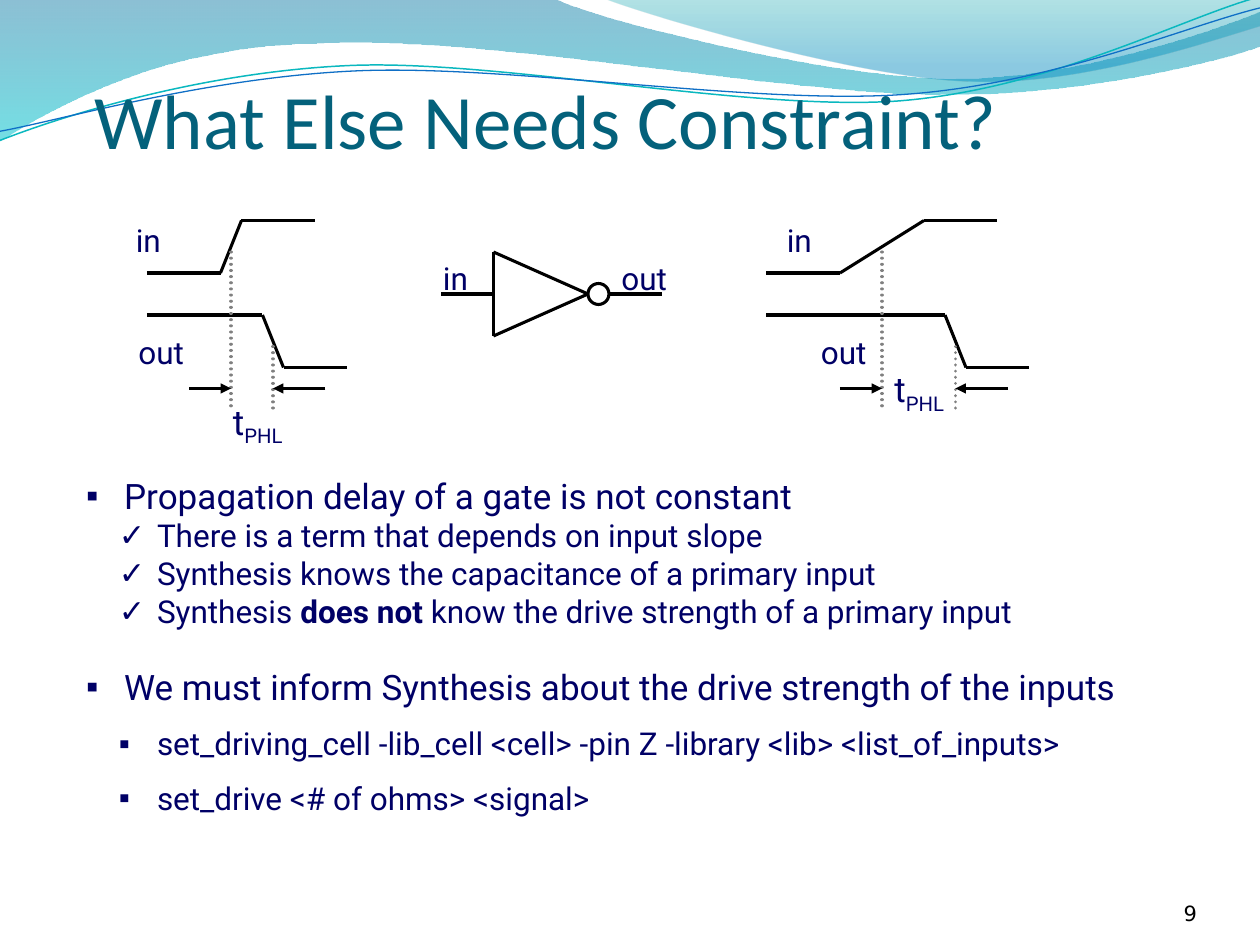
from pptx import Presentation
from pptx.dml.color import RGBColor
from pptx.enum.dml import MSO_LINE
from pptx.enum.shapes import MSO_CONNECTOR, MSO_SHAPE
from pptx.enum.text import MSO_ANCHOR, MSO_AUTO_SIZE, PP_ALIGN
from pptx.oxml.ns import qn
from pptx.util import Pt
from lxml import etree

PX = 9525
STRAIGHT = MSO_CONNECTOR.STRAIGHT
OVAL = MSO_SHAPE.OVAL
DOTTED = MSO_LINE.ROUND_DOT
BOTTOM = MSO_ANCHOR.BOTTOM
NO_FIT = MSO_AUTO_SIZE.NONE
LEFT, RIGHT = PP_ALIGN.LEFT, PP_ALIGN.RIGHT
NAVY, BLACK, GRAY, TEAL = "000066", "000000", "808080", "04617B"


def rgb(value):
    return RGBColor.from_string(value)


def px(*values):
    return [round(v * PX) for v in values]


class Deck:
    font = "Roboto"
    weight = 1.75

    def __init__(self):
        self.prs = Presentation()
        self.prs.slide_width, self.prs.slide_height = px(960, 720)
        self.s = self.prs.slides.add_slide(self.prs.slide_layouts[3])

    def style(self, r, size, color=NAVY, font=None):
        r.font.size = Pt(size)
        r.font.name = font or self.font
        r.font.color.rgb = rgb(color)

    def stroke(self, line, color, weight):
        line.color.rgb = rgb(color)
        line.width = Pt(weight)

    def place(self, sp, box, wrap=True, insets=None):
        sp.left, sp.top, sp.width, sp.height = px(*box)
        tf = sp.text_frame
        tf.auto_size = NO_FIT
        tf.word_wrap = wrap
        tf.vertical_anchor = BOTTOM
        if insets:
            tf.margin_left, tf.margin_top, tf.margin_right, tf.margin_bottom = px(*insets)
        return tf

    def wave(self, start, segments, stops=None, line=None):
        anchors = [seg[-2:] for seg in segments]
        left, top = (min(axis) for axis in zip(start, *anchors))
        fb = self.s.shapes.build_freeform(*start, scale=PX)
        fb.add_line_segments(anchors, close=bool(stops))
        sp = fb.convert_to_shape()
        for node, seg in zip(list(sp.element.iter(qn("a:lnTo"))), segments):
            if len(seg) == 6:
                node.tag = qn("a:cubicBezTo")
                node.remove(node[0])
                for x, y in zip(seg[::2], seg[1::2]):
                    etree.SubElement(node, qn("a:pt"), x=str(x - left), y=str(y - top))
        sp.shadow.inherit = False
        if line:
            sp.fill.background()
            self.stroke(sp.line, *line)
            return
        sp.line.fill.background()
        sp.fill.gradient()
        sp.fill.gradient_angle = 270
        for stop, (position, color, _) in zip(sp.fill.gradient_stops, stops):
            stop.position = position
            stop.color.rgb = rgb(color)
        for clr, (_, _, alpha) in zip(sp.element.iter(qn("a:srgbClr")), stops):
            etree.SubElement(clr, qn("a:alpha")).set("val", str(alpha * 1000))

    def title(self, text, box):
        sp = self.s.shapes.title
        self.s.shapes.element.append(sp.element)
        tf = self.place(sp, box, insets=(0, 5, 0, 0))
        tf.text = text
        p = tf.paragraphs[0]
        p.alignment = LEFT
        self.style(p.runs[0], 44, TEAL, "Calibri")

    def bullets(self, idx, box, items, gap=0):
        sp = self.s.placeholders[idx]
        self.s.shapes.element.append(sp.element)
        tf = self.place(sp, box)
        for i, (level, mark, parts) in enumerate(items):
            p = tf.add_paragraph() if i else tf.paragraphs[0]
            p.level = level
            pPr = p._p.get_or_add_pPr()
            left, indent = px(29 + 25 * level, -29)
            pPr.set("marL", str(left))
            pPr.set("indent", str(indent))
            etree.SubElement(pPr, qn("a:buChar")).set("char", mark)
            p.alignment = LEFT
            p.line_spacing = Pt(21.75)
            p.space_before = Pt(gap if i else 0)
            for k, part in enumerate(parts):
                r = p.add_run()
                r.text = part
                self.style(r, 18 if level else 20)
                r.font.bold = k % 2 == 1

    def label(self, text, box, size=18, sub=None):
        tf = self.place(self.s.shapes.add_textbox(0, 0, 0, 0), box, wrap=False)
        tf.text = text
        p = tf.paragraphs[0]
        if sub:
            p.add_run().text = sub
            p.runs[1]._r.get_or_add_rPr().set("baseline", "-25000")
        for r in p.runs:
            self.style(r, size)

    def page_number(self, text, box):
        tf = self.place(self.s.shapes.add_textbox(0, 0, 0, 0), box, insets=(0, 0, 0, 0))
        tf.text = text
        p = tf.paragraphs[0]
        p.alignment = RIGHT
        self.style(p.runs[0], 12, BLACK, "DejaVu Sans")

    def line(self, start, end, color=BLACK, dotted=False, arrow=False):
        cn = self.s.shapes.add_connector(STRAIGHT, *px(*start, *end))
        self.stroke(cn.line, color, self.weight)
        ln = cn.line._get_or_add_ln()
        if dotted:
            cn.line.dash_style = DOTTED
            ln.set("cap", "rnd")
        if arrow:
            etree.SubElement(ln, qn("a:tailEnd")).set("type", "triangle")
        etree.SubElement(cn.element.spPr, qn("a:effectLst"))

    def polyline(self, *points):
        for start, end in zip(points, points[1:]):
            self.line(start, end)

    def circle(self, x, y, size):
        sp = self.s.shapes.add_shape(OVAL, *px(x, y, size, size))
        sp.shadow.inherit = False
        sp.fill.background()
        self.stroke(sp.line, BLACK, self.weight)

    def timing(self, left, rise_width, fall_offset, in_x, out_x, delay_xy):
        rise = left + 56
        fall = left + fall_offset
        top = rise + rise_width
        self.polyline((left, 208), (rise, 208), (top, 168), (top + 56, 168))
        self.polyline((left, 240), (fall, 240), (fall + 16, 280), (fall + 64, 280))
        for x, y, tail in ((rise + rise_width // 2, 192, -32), (fall + 8, 264, 40)):
            self.line((x, y), (x, 312), GRAY, dotted=True)
            self.line((x + tail, 296), (x, 296), arrow=True)
        self.label("in", (in_x, 164, 38, 38))
        self.label("out", (out_x, 249, 54, 38))
        self.label("t", (*delay_xy, 59, 41), 20, "PHL")

    def inverter(self):
        self.polyline((448, 224), (376, 192), (376, 256), (448, 224))
        self.circle(448, 216, 16)
        self.line((336, 224), (376, 224))
        self.line((464, 224), (504, 224))
        self.label("in", (328, 193, 38, 38))
        self.label("out", (464, 193, 54, 38))


def main():
    deck = Deck()
    deck.wave((0, -1), [(422, -1), (457, 16, 637, 60, 728, 60), (819, 60, 920, 25, 960, 9),
                        (961, 35), (944, 42, 835, 73, 716, 72), (597, 72, 367, 27, 247, 33),
                        (124, 34, 44, 80, -1, 108)],
              stops=[(0, "0074A1", 45), (1, "00C6CF", 55)])
    deck.wave((460, -1), [(489, 11, 655, 60, 738, 62), (822, 66, 923, 31, 960, 20), (960, 0)],
              stops=[(0, "00A1A9", 30), (0.8, "008BBF", 45)])
    deck.wave((0, 107), [(46, 89, 152, 55, 266, 50), (379, 45, 569, 85, 684, 77),
                         (800, 68, 900, 14, 958, -2)], line=("0AB8BF", 0.85))
    deck.wave((0, 100), [(45, 92, 157, 59, 272, 54), (387, 49, 573, 80, 688, 72),
                         (803, 64, 903, 20, 960, 6)], line=("0F6FC6", 0.75))
    deck.title("What Else Needs Constraint?", (72, 6, 864, 120))
    deck.page_number("9", (832, 667, 80, 38))
    deck.timing(112, 16, 88, 94, 96, (168, 305))
    deck.inverter()
    deck.timing(584, 64, 136, 590, 616, (672, 280))
    deck.bullets(1, (56, 356, 762, 129), [
        (0, "▪", ["Propagation delay of a gate is not constant"]),
        (1, "✓", ["There is a term that depends on input slope"]),
        (1, "✓", ["Synthesis knows the capacitance of a primary input"]),
        (1, "✓", ["Synthesis ", "does not", " know the drive strength of a primary input"]),
    ])
    deck.bullets(2, (56, 502, 824, 125), [
        (0, "▪", ["We must inform Synthesis about the drive strength of the inputs"]),
        (1, "▪", ["set_driving_cell -lib_cell <cell> -pin Z -library <lib> <list_of_inputs>"]),
        (1, "▪", ["set_drive <# of ohms> <signal>"]),
    ], gap=9.4)
    deck.prs.save("out.pptx")


if __name__ == "__main__":
    main()
